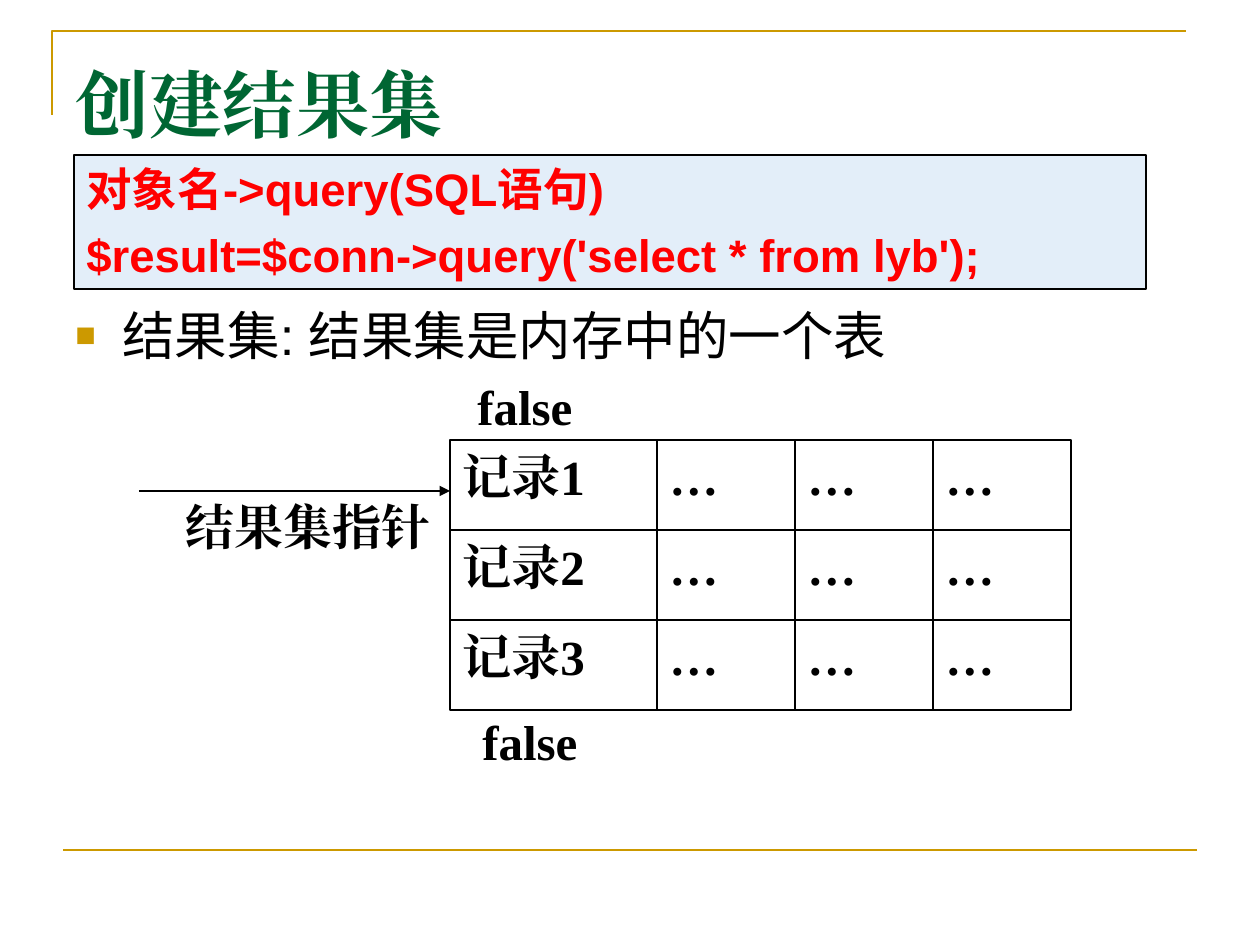
from itertools import accumulate
from lxml.etree import SubElement
from pptx import Presentation
from pptx.dml.color import RGBColor
from pptx.enum.shapes import MSO_CONNECTOR, MSO_SHAPE
from pptx.enum.text import MSO_ANCHOR, MSO_AUTO_SIZE, PP_ALIGN
from pptx.oxml.ns import qn
from pptx.util import Emu, Pt

SCALE = 914400 / 126
GOLD = RGBColor(0xCC, 0x99, 0x00)
GREEN = RGBColor(0x00, 0x66, 0x33)
RED = RGBColor(0xFF, 0x00, 0x00)
BLACK = RGBColor(0x00, 0x00, 0x00)
WHITE = RGBColor(0xFF, 0xFF, 0xFF)
PALE_BLUE = RGBColor(0xE3, 0xEE, 0xF9)

TITLE_FONT = {"name": "Times New Roman", "size": Pt(42), "bold": True}
QUERY_FONT = {"name": "Arial", "size": Pt(26), "bold": True}
BODY_FONT = {"name": "Arial", "size": Pt(30), "bold": False}
DIAGRAM_FONT = {"name": "Times New Roman", "size": Pt(28), "bold": True}

GRID_LEFT, GRID_TOP = 450, 440
COLUMN_WIDTHS = (207, 138, 138, 138)
ROW_HEIGHT = 90
RECORDS = ("记录1", "记录2", "记录3")


def px(value):
    """Turn pixels into EMU."""
    return Emu(round(value * SCALE))


def box(*lengths):
    """Turn a series of pixel lengths into EMU."""
    return [px(length) for length in lengths]


def set_line(line, color, width):
    """Give an outline its colour and width in points."""
    line.color.rgb = color
    line.width = Pt(width)


def write(frame, lines, font, color, space=0, align=PP_ALIGN.LEFT):
    """Write top-anchored paragraphs, with one font for all scripts."""
    frame.word_wrap = True
    frame.vertical_anchor = MSO_ANCHOR.TOP
    frame.text = "\n".join(lines)
    for index, paragraph in enumerate(frame.paragraphs):
        paragraph.alignment = align
        paragraph.space_before = Pt(space if index else 0)
        for run in paragraph.runs:
            for name, value in font.items():
                setattr(run.font, name, value)
            run.font.color.rgb = color
            SubElement(run._r.get_or_add_rPr(), qn("a:ea"), typeface=font["name"])


def add_line(slide, start, end, color, width, arrow=False):
    """Add a straight line, with an arrowhead at its end if wanted."""
    connector = slide.shapes.add_connector(MSO_CONNECTOR.STRAIGHT, *box(*start, *end))
    set_line(connector.line, color, width)
    if arrow:
        SubElement(connector.line._get_or_add_ln(), qn("a:tailEnd"), type="triangle")
    SubElement(connector._element.spPr, qn("a:effectLst"))


def add_corner(slide):
    """Add the open gold corner around the title."""
    builder = slide.shapes.build_freeform(px(52), px(115))
    builder.add_line_segments([box(52, 31), box(1186, 31)], close=False)
    corner = builder.convert_to_shape()
    corner.shadow.inherit = False
    corner.fill.background()
    set_line(corner.line, GOLD, 1.5)


def add_title(slide, text):
    """Place and format the title placeholder."""
    title = slide.shapes.title
    title.left, title.top, title.width, title.height = box(63, 53, 1134, 142)
    write(title.text_frame, [text], TITLE_FONT, GREEN)
    title.text_frame.auto_size = MSO_AUTO_SIZE.NONE


def add_text(slide, lengths, text, font):
    """Add a text box with one black paragraph and return the paragraph."""
    frame = slide.shapes.add_textbox(*box(*lengths)).text_frame
    write(frame, [text], font, BLACK)
    return frame.paragraphs[0]


def add_bullet(paragraph):
    """Give a paragraph a small gold square bullet and a hanging indent."""
    properties = paragraph._p.get_or_add_pPr()
    properties.set("marL", str(px(47)))
    properties.set("indent", str(px(-47)))
    color = SubElement(properties, qn("a:buClr"))
    SubElement(color, qn("a:srgbClr"), val=str(GOLD))
    SubElement(properties, qn("a:buSzPct"), val="65000")
    SubElement(properties, qn("a:buFont"), typeface="Arial")
    SubElement(properties, qn("a:buChar"), char="■")


def add_box(slide, lengths, fill):
    """Add a thinly outlined rectangle and return its text frame."""
    shape = slide.shapes.add_shape(MSO_SHAPE.RECTANGLE, *box(*lengths))
    shape.shadow.inherit = False
    shape.fill.solid()
    shape.fill.fore_color.rgb = fill
    set_line(shape.line, BLACK, 0.75)
    return shape.text_frame


def add_record_grid(slide):
    """Add one rectangle for each field of each record."""
    lefts = accumulate(COLUMN_WIDTHS[:-1], initial=GRID_LEFT)
    for column, (left, width) in enumerate(zip(lefts, COLUMN_WIDTHS)):
        for row, record in enumerate(RECORDS):
            top = GRID_TOP + row * ROW_HEIGHT
            frame = add_box(slide, (left, top, width, ROW_HEIGHT), WHITE)
            text = "…" if column else record
            write(frame, [text], DIAGRAM_FONT, BLACK, align=PP_ALIGN.JUSTIFY)


def main():
    """Build the slide on creating a result set."""
    presentation = Presentation()
    presentation.slide_width, presentation.slide_height = px(1260), px(945)
    slide = presentation.slides.add_slide(presentation.slide_layouts[5])
    add_corner(slide)
    add_line(slide, (63, 850), (1197, 850), GOLD, 1.5)
    add_title(slide, "创建结果集")
    add_bullet(add_text(slide, (63, 297, 1134, 80), "结果集: 结果集是内存中的一个表", BODY_FONT))
    add_record_grid(slide)
    add_text(slide, (173, 490, 276, 90), "结果集指针", DIAGRAM_FONT)
    add_line(slide, (139, 491), (450, 491), BLACK, 0.75, arrow=True)
    for left, top in ((465, 370), (470, 705)):
        add_text(slide, (left, top, 152, 84), "false", DIAGRAM_FONT)
    query_lines = ["对象名->query(SQL语句)", "$result=$conn->query('select * from lyb');"]
    query_frame = add_box(slide, (74, 155, 1072, 134), PALE_BLUE)
    write(query_frame, query_lines, QUERY_FONT, RED, space=6.5)
    presentation.save("out.pptx")


if __name__ == "__main__":
    main()
